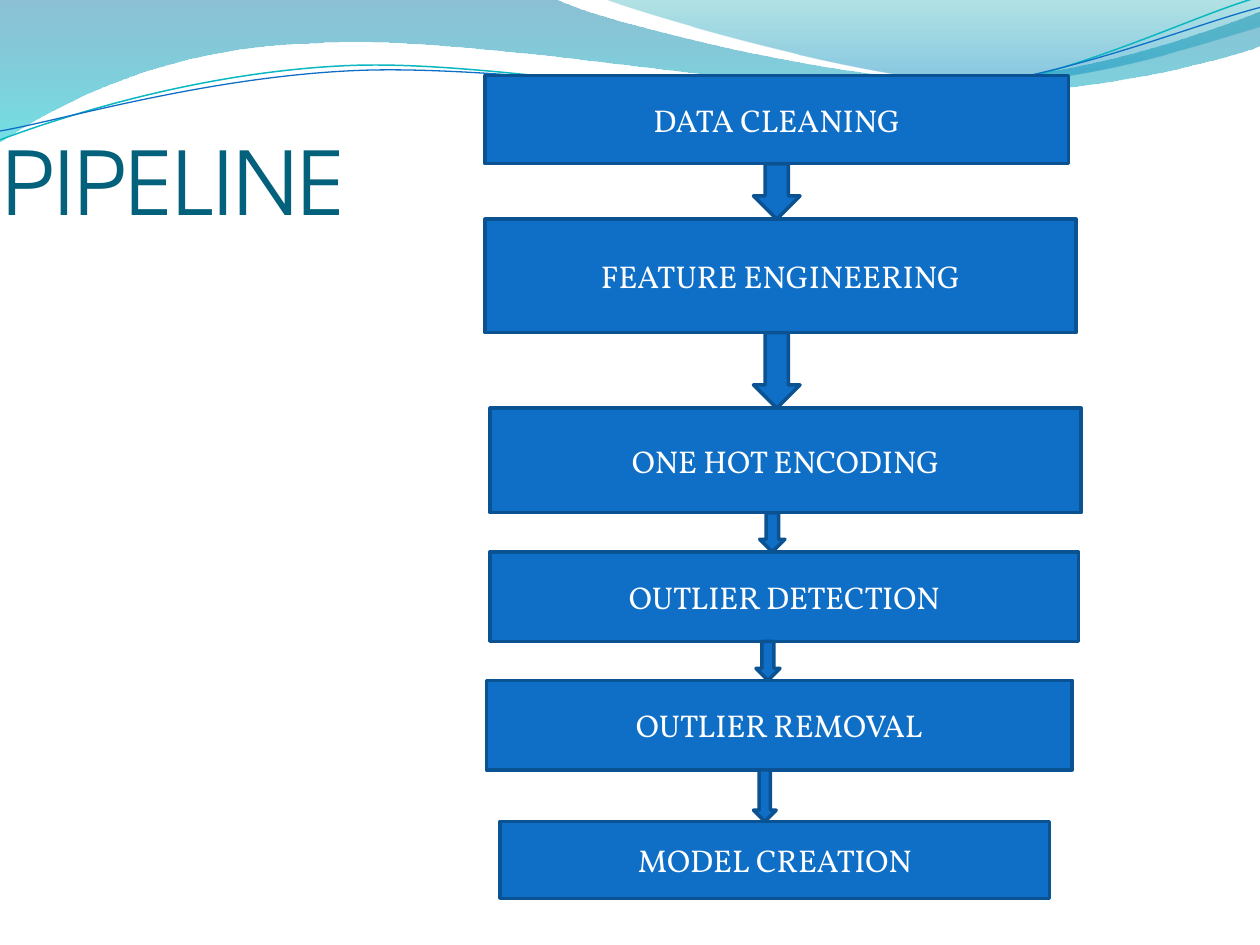
import math

from lxml import etree
from pptx import Presentation
from pptx.dml.color import RGBColor
from pptx.enum import shapes, text
from pptx.oxml import ns
from pptx.util import Inches, Pt

# Content: each step with its box (left, top, width, height)
STEPS = [
    ("DATA CLEANING", (3.85, 0.6, 4.63, 0.7)),
    ("FEATURE ENGINEERING", (3.85, 1.74, 4.69, 0.9)),
    ("ONE HOT ENCODING", (3.89, 3.24, 4.69, 0.83)),
    ("OUTLIER DETECTION", (3.89, 4.38, 4.67, 0.71)),
    ("OUTLIER REMOVAL", (3.86, 5.4, 4.65, 0.71)),
    ("MODEL CREATION", (3.97, 6.52, 4.36, 0.61)),
]
# Arrow below each step but the last: left, width
ARROWS = [(5.98, 0.37), (5.98, 0.37), (6.03, 0.2), (6, 0.19), (5.98, 0.18)]

# Waves: segments of one point are straight, of three points are Bezier curves
# Gradient stops: position, colour, opacity in percent
WAVE_BANDS = [
    ((0, 0), [
        [(4.4, -0.01)],
        [(4.76, 0.17), (6.64, 0.63), (7.58, 0.63)],
        [(8.53, 0.63), (9.58, 0.26), (10, 0.09)],
        [(10.01, 0.36)],
        [(9.83, 0.44), (8.7, 0.76), (7.46, 0.75)],
        [(6.22, 0.75), (3.82, 0.28), (2.57, 0.34)],
        [(1.29, 0.36), (0.46, 0.83), (-0.01, 1.13)],
    ], [(0, "0074A1", 45), (1, "00C6CF", 55)]),
    ((4.79, -0.01), [
        [(5.09, 0.11), (6.82, 0.62), (7.69, 0.65)],
        [(8.56, 0.69), (9.61, 0.32), (10, 0.21)],
        [(10, 0)],
    ], [(0, "00A1A9", 30), (0.8, "008BBF", 45)]),
]
# Wave lines: start, segments, centre of rotation, colour, width
WAVE_LINES = [
    ((0, 1.11), [
        [(0.48, 0.93), (1.58, 0.57), (2.77, 0.52)],
        [(3.95, 0.47), (5.93, 0.89), (7.13, 0.8)],
        [(8.33, 0.71), (9.38, 0.15), (9.98, -0.02)],
    ], (4.99, 0.58), "0AB8BF", 0.85),
    ((0, 1.04), [
        [(0.47, 0.96), (1.64, 0.61), (2.83, 0.56)],
        [(4.03, 0.51), (5.97, 0.84), (7.17, 0.75)],
        [(8.36, 0.67), (9.41, 0.21), (10, 0.06)],
    ], (5, 0.59), "0F6FC6", 0.75),
]
LINE_TILT = 357.3


def rgb(value):
    return RGBColor.from_string(value)


def set_line(shape, colour, width):
    shape.line.color.rgb = rgb(colour)
    shape.line.width = Pt(width)


def write(shape, words, font, size, colour, align, **frame_format):
    frame = shape.text_frame
    frame.text = words
    for name, value in frame_format.items():
        setattr(frame, name, value)
    paragraph = frame.paragraphs[0]
    paragraph.alignment = align
    style = paragraph.runs[0].font
    style.name, style.size, style.color.rgb = font, Pt(size), rgb(colour)


def turn(point, centre, degrees):
    angle = math.radians(degrees)
    dx, dy = point[0] - centre[0], point[1] - centre[1]
    return (centre[0] + dx * math.cos(angle) - dy * math.sin(angle),
            centre[1] + dx * math.sin(angle) + dy * math.cos(angle))


def add_wave(slide, start, segments, close, centre=(0, 0), tilt=0):
    corners = [start, *(point for segment in segments for point in segment)]
    points = [tuple(map(Inches, turn(corner, centre, -tilt))) for corner in corners]
    builder = slide.shapes.build_freeform(*points[0])
    builder.add_line_segments(points[1:], close=close)
    wave = builder.convert_to_shape()
    wave.shadow.inherit = False
    wave.rotation = tilt

    # Join the three points of each curved segment into one Bezier
    nodes = iter(list(wave._element.iter(ns.qn("a:lnTo"))))
    for segment in segments:
        first, *others = [next(nodes) for _ in segment]
        if others:
            first.tag = ns.qn("a:cubicBezTo")
        for node in others:
            first.append(node[0])
            node.getparent().remove(node)
    return wave


def add_block(slide, preset, box):
    block = slide.shapes.add_shape(preset, *map(Inches, box))
    block.shadow.inherit = False
    block.fill.solid()
    block.fill.fore_color.rgb = rgb("0F6FC6")
    set_line(block, "0B5292", 2)
    return block


def main():
    prs = Presentation()
    prs.slide_width, prs.slide_height = Inches(10), Inches(7.5)
    slide = prs.slides.add_slide(prs.slide_layouts[5])

    # Wave header
    for start, segments, stops in WAVE_BANDS:
        band = add_wave(slide, start, segments, True)
        band.line.fill.background()
        band.fill.gradient()
        band.fill.gradient_angle = 270
        for stop, (position, colour, _) in zip(band.fill.gradient_stops, stops):
            stop.position = position
            stop.color.rgb = rgb(colour)
        colours = band.fill._xPr.iter(ns.qn("a:srgbClr"))
        for colour_node, (_, _, opacity) in zip(colours, stops):
            etree.SubElement(colour_node, ns.qn("a:alpha"), val=str(opacity * 1000))
    for start, segments, centre, colour, width in WAVE_LINES:
        strand = add_wave(slide, start, segments, False, centre, LINE_TILT)
        strand.fill.background()
        set_line(strand, colour, width)

    # Title, in front of the waves
    title = slide.shapes.title
    slide.shapes._spTree.append(title._element)
    title.left, title.top, title.width, title.height = map(Inches, (0.02, 0.6, 3.84, 1.25))
    write(title, "PIPELINE", "TeX Gyre Adventor", 50, "04617B", text.PP_ALIGN.LEFT,
          vertical_anchor=text.MSO_ANCHOR.BOTTOM, auto_size=text.MSO_AUTO_SIZE.NONE,
          margin_left=0, margin_top=Inches(0.05), margin_right=0, margin_bottom=0)

    # Steps
    for words, box in STEPS:
        step = add_block(slide, shapes.MSO_SHAPE.RECTANGLE, box)
        write(step, words, "Vollkorn", 18, "FFFFFF", text.PP_ALIGN.CENTER,
              vertical_anchor=text.MSO_ANCHOR.MIDDLE)

    # Arrows fill the gaps between consecutive steps
    for (_, upper), (_, lower), (left, width) in zip(STEPS, STEPS[1:], ARROWS):
        top = upper[1] + upper[3]
        add_block(slide, shapes.MSO_SHAPE.DOWN_ARROW, (left, top, width, lower[1] - top))

    prs.save("out.pptx")


if __name__ == "__main__":
    main()
